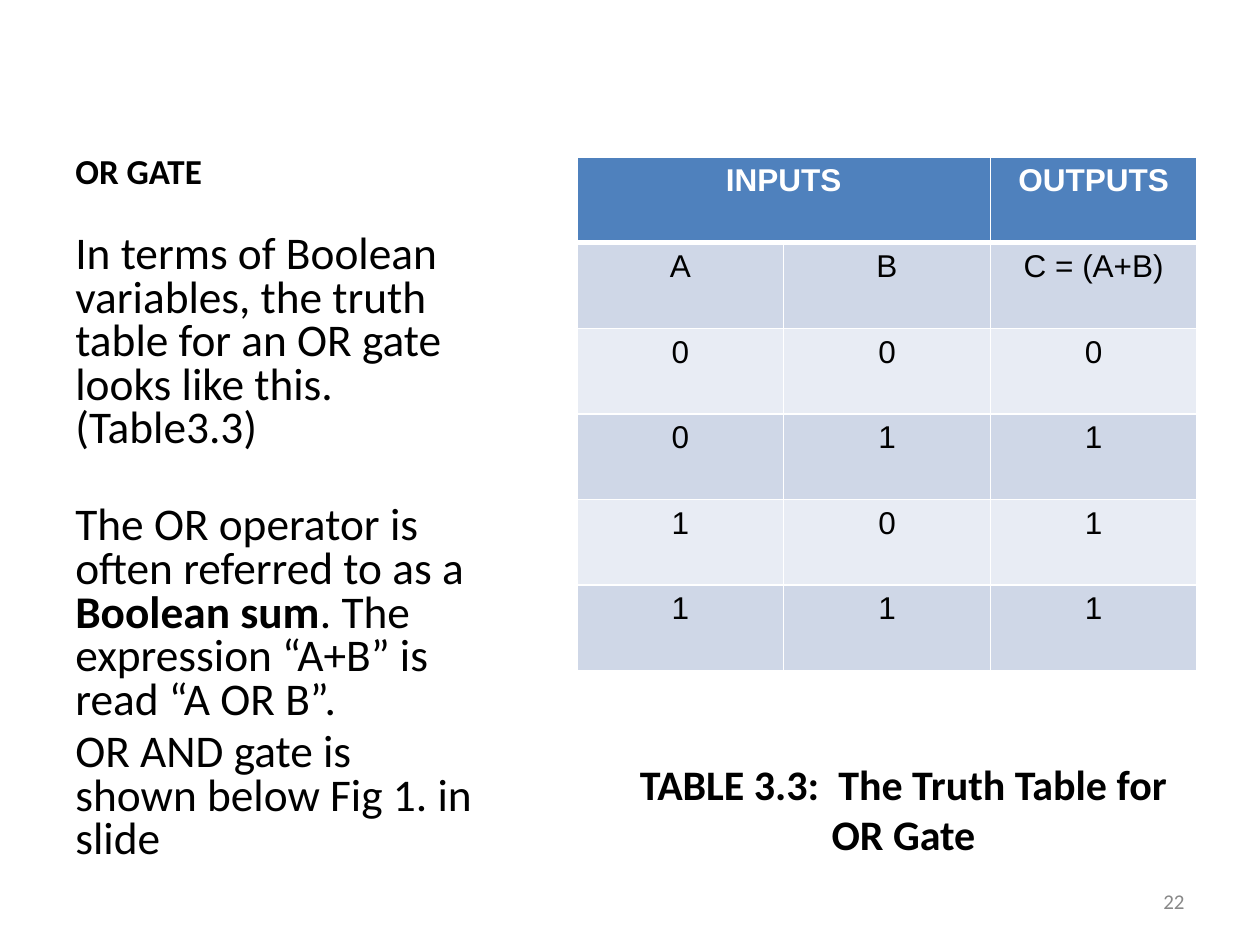
from pptx import Presentation
from pptx import util as u
from pptx.dml import color
from pptx.enum import text
from pptx.oxml import parse_xml
from pptx.oxml.ns import nsdecls

COLORS = {"ink": "000000", "white": "FFFFFF", "header": "4F81BD",
          "band": "CFD7E7", "light": "E8ECF4", "number": "888888"}
ALIGN = text.PP_ALIGN
ANCHOR = text.MSO_ANCHOR


def px(n):
    return u.Emu(n * 914400 // 126)


def rgb(name):
    return color.RGBColor.from_string(COLORS[name])


def add_run(p, words, size, font="Calibri", ink="ink", bold=False):
    r = p.add_run()
    r.text = words
    r.font.size = u.Pt(size)
    r.font.name = font
    r.font.bold = bold
    r.font.color.rgb = rgb(ink)


def add_box(s, box, anchor=ANCHOR.TOP):
    tf = s.shapes.add_textbox(*map(px, box)).text_frame
    tf.word_wrap = True
    tf.vertical_anchor = anchor
    return tf


def add_line(s, box, words, size, align, anchor=ANCHOR.TOP, ink="ink", bold=False):
    p = add_box(s, box, anchor).paragraphs[0]
    p.alignment = align
    add_run(p, words, size, ink=ink, bold=bold)


def add_body(s, box, paragraphs):
    tf = add_box(s, box)
    tf.margin_top = px(37)
    for i, (before, runs) in enumerate(paragraphs):
        p = tf.add_paragraph() if i else tf.paragraphs[0]
        p.line_spacing = 0.8
        p.space_before = u.Pt(before)
        for words, bold in runs:
            add_run(p, words, 25.9, bold=bold)


def add_borders(cell, bottom):
    tc_pr = cell._tc.get_or_add_tcPr()
    for i, (side, width) in enumerate((("L", 1), ("R", 1), ("T", 1), ("B", bottom))):
        tc_pr.insert(i, parse_xml(
            f'<a:ln{side} {nsdecls("a")} w="{u.Pt(width)}"><a:solidFill>'
            f'<a:srgbClr val="{COLORS["white"]}"/></a:solidFill></a:ln{side}>'))


def add_truth_table(s, box, rows):
    table = s.shapes.add_table(len(rows), len(rows[0]), *map(px, box)).table
    for i, row in enumerate(rows):
        head = i == 0
        fill = "header" if head else ("band" if i % 2 else "light")
        for j, words in enumerate(row):
            cell = table.cell(i, j)
            cell.fill.solid()
            cell.fill.fore_color.rgb = rgb(fill)
            add_borders(cell, 3 if head else 1)
            if words:
                p = cell.text_frame.paragraphs[0]
                p.alignment = ALIGN.CENTER
                add_run(p, words, 18, "Arial", "white" if head else "ink", head)
    table.cell(0, 0).merge(table.cell(0, 1))


prs = Presentation()
prs.slide_width, prs.slide_height = px(1260), px(945)
s = prs.slides.add_slide(prs.slide_layouts[6])

add_line(s, (63, 38, 415, 160), "OR GATE", 20, ALIGN.LEFT, ANCHOR.BOTTOM, bold=True)
inputs = [(a, b) for a in (0, 1) for b in (0, 1)]
add_truth_table(s, (577, 157, 620, 514),
                [("INPUTS", "", "OUTPUTS"), ("A", "B", "C = (A+B)")]
                + [(str(a), str(b), str(a | b)) for a, b in inputs])
add_body(s, (63, 198, 431, 706), [
    (0, [("In terms of Boolean variables, the truth table for an OR gate "
          "looks like this. (Table3.3)", False)]),
    (30.5, [("The OR operator is often referred to as a ", False),
            ("Boolean sum", True),
            (". The expression “A+B” is read “A OR B”.", False)]),
    (5.2, [("OR AND gate is shown below Fig 1. in slide", False)])])
add_line(s, (620, 752, 567, 152), "TABLE 3.3:  The Truth Table for OR Gate", 24,
         ALIGN.CENTER, bold=True)
add_line(s, (903, 876, 294, 50), "22", 12, ALIGN.RIGHT, ANCHOR.MIDDLE, "number")

prs.save("out.pptx")
